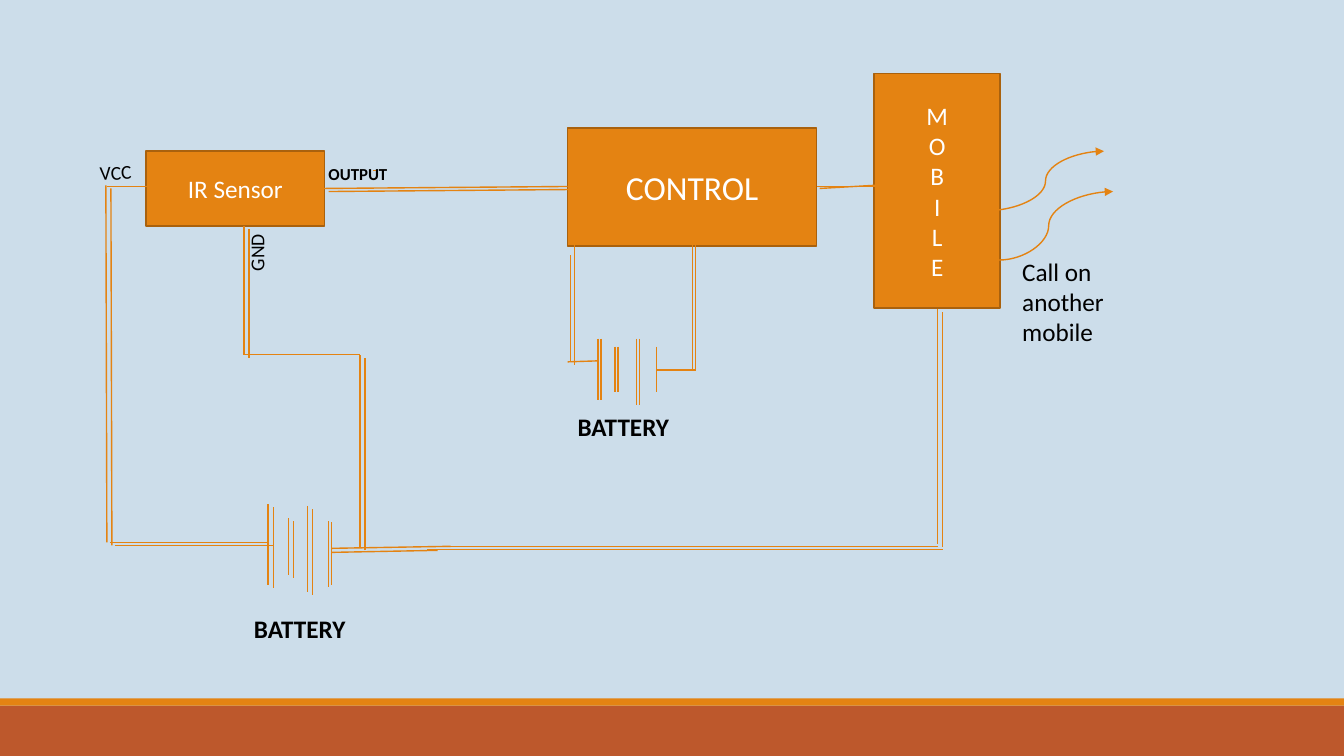
"""Build the circuit slide: sensor, controller and mobile wired to two batteries."""
import itertools

import lxml.etree
import pptx
import pptx.dml.color
import pptx.enum.shapes
import pptx.enum.text
import pptx.oxml.ns
import pptx.util

SLIDE_SIZE = (1333, 750)
EMU_PER_PX = 9144

THEME = {
    "font": "Calibri",
    "background": "CCDDEA",
    "orange": "E48312",
    "block_edge": "A9610D",
    "rust": "BD582C",
    "block_text": "FFFFFF",
    "label_text": "000000",
    "title": 24,
    "body": 18,
    "pin": 14,
    "small_pin": 12,
    "edge_width": 1.25,
    "wire_width": 1,
}

FOOTER_BANDS = [((0, 700, 1333, 50), "rust"), ((0, 693, 1333, 7), "orange")]

BLOCKS = [
    (["CONTROL"], (563, 127, 247, 117), "title"),
    (["IR Sensor"], (145, 150, 177, 74), "body"),
    (list("MOBILE"), (867, 73, 125, 233), "body"),
]

LABELS = [
    ("OUTPUT", (316, 158, 84, 30), "small_pin", True, 0),
    ("GND", (222, 229, 66, 34), "pin", False, 270),
    ("VCC", (89, 154, 52, 34), "pin", False, 357.1),
    ("BATTERY", (242, 604, 128, 40), "body", True, 0),
    ("Call on another mobile", (1004, 249, 125, 101), "body", False, 0),
    ("BATTERY", (563, 403, 151, 71), "body", True, 0),
]

CIRCUITS = [
    {
        "echo": (5, 3),
        "plates": [(266, 500, 580), (286, 514, 570), (305, 502, 587)],
        "wires": [
            [(321, 187), (563, 185)],
            [(357, 543), (357, 352)],
            [(242, 352), (242, 224)],
            [(105, 184), (106, 538)],
            [(109, 538), (266, 538)],
            [(930, 307), (930, 540)],
            [(419, 542), (930, 542)],
        ],
    },
    {
        "echo": (3, 0),
        "plates": [(593, 336, 397), (610, 344, 389), (631, 336, 402)],
        "wires": [[(687, 243), (687, 367), (651, 367)]],
    },
    {
        "echo": None,
        "plates": [(329, 518, 580), (326, 517, 582), (651, 344, 389)],
        "wires": [
            [(329, 544), (447, 542)],
            [(329, 548), (434, 546)],
            [(357, 352), (242, 352)],
            [(153, 185), (106, 185)],
            [(810, 185), (879, 185)],
            [(813, 187), (882, 183)],
            [(370, 169), (374, 169)],
            [(566, 359), (566, 253)],
            [(570, 362), (570, 240)],
            [(563, 359), (593, 358)],
        ],
    },
]

SIGNALS = [
    ((979, 209), (1095, 150), 50000, ("headEnd", "tailEnd")),
    ((991, 258), (1104, 190), 43500, ("tailEnd",)),
]


def emu(*lengths):
    return [pptx.util.Emu(length * EMU_PER_PX) for length in lengths]


def color(role):
    return pptx.dml.color.RGBColor.from_string(THEME[role])


def add_element(parent, tag, **attributes):
    return lxml.etree.SubElement(parent, pptx.oxml.ns.qn(tag), **attributes)


def add_rectangle(slide, box, fill):
    rectangle = slide.shapes.add_shape(
        pptx.enum.shapes.MSO_SHAPE.RECTANGLE, *emu(*box))
    rectangle.shadow.inherit = False
    rectangle.fill.solid()
    rectangle.fill.fore_color.rgb = color(fill)
    rectangle.line.fill.background()
    return rectangle


def write_lines(frame, lines, size, ink, bold, alignment):
    for index, line in enumerate(lines):
        paragraph = frame.add_paragraph() if index else frame.paragraphs[0]
        paragraph.alignment = alignment
        run = paragraph.add_run()
        run.text = line
        run.font.name = THEME["font"]
        run.font.size = pptx.util.Pt(THEME[size])
        run.font.bold = bold
        run.font.color.rgb = color(ink)


def add_block(slide, lines, box, size):
    block = add_rectangle(slide, box, "orange")
    block.line.color.rgb = color("block_edge")
    block.line.width = pptx.util.Pt(THEME["edge_width"])
    block.text_frame.word_wrap = True
    block.text_frame.vertical_anchor = pptx.enum.text.MSO_ANCHOR.MIDDLE
    write_lines(block.text_frame, lines, size, "block_text", False,
                pptx.enum.text.PP_ALIGN.CENTER)


def add_label(slide, wording, box, size, bold, rotation):
    label = slide.shapes.add_textbox(*emu(*box))
    label.rotation = rotation
    label.text_frame.word_wrap = True
    label.text_frame.margin_right = 0
    write_lines(label.text_frame, [wording], size, "label_text", bold,
                pptx.enum.text.PP_ALIGN.LEFT)


def add_wire(slide, start, end, kind=pptx.enum.shapes.MSO_CONNECTOR.STRAIGHT):
    wire = slide.shapes.add_connector(kind, *emu(*start, *end))
    wire.line.color.rgb = color("orange")
    wire.line.width = pptx.util.Pt(THEME["wire_width"])
    add_element(wire.element.spPr, "a:effectLst")
    return wire


def add_circuit(slide, circuit):
    plates = [[(x, top), (x, bottom)] for x, top, bottom in circuit["plates"]]
    offsets = [(0, 0)] + ([circuit["echo"]] if circuit["echo"] else [])
    for (dx, dy), route in itertools.product(offsets, plates + circuit["wires"]):
        points = [(x + dx, y + dy) for x, y in route]
        for start, end in zip(points, points[1:]):
            add_wire(slide, start, end)


def add_signal(slide, start, end, bend, arrow_ends):
    signal = add_wire(slide, start, end, pptx.enum.shapes.MSO_CONNECTOR.CURVE)
    properties = signal.element.spPr
    guides = properties.find(".//" + pptx.oxml.ns.qn("a:avLst"))
    add_element(guides, "a:gd", name="adj1", fmla=f"val {bend}")
    stroke = properties.find(pptx.oxml.ns.qn("a:ln"))
    for arrow_end in arrow_ends:
        add_element(stroke, f"a:{arrow_end}", type="triangle")


def main():
    deck = pptx.Presentation()
    deck.slide_width, deck.slide_height = emu(*SLIDE_SIZE)
    slide = deck.slides.add_slide(deck.slide_layouts[6])
    slide.background.fill.solid()
    slide.background.fill.fore_color.rgb = color("background")
    for box, fill in FOOTER_BANDS:
        add_rectangle(slide, box, fill)
    for block in BLOCKS:
        add_block(slide, *block)
    for circuit in CIRCUITS:
        add_circuit(slide, circuit)
    for signal in SIGNALS:
        add_signal(slide, *signal)
    for label in LABELS:
        add_label(slide, *label)
    deck.save("out.pptx")


if __name__ == "__main__":
    main()
